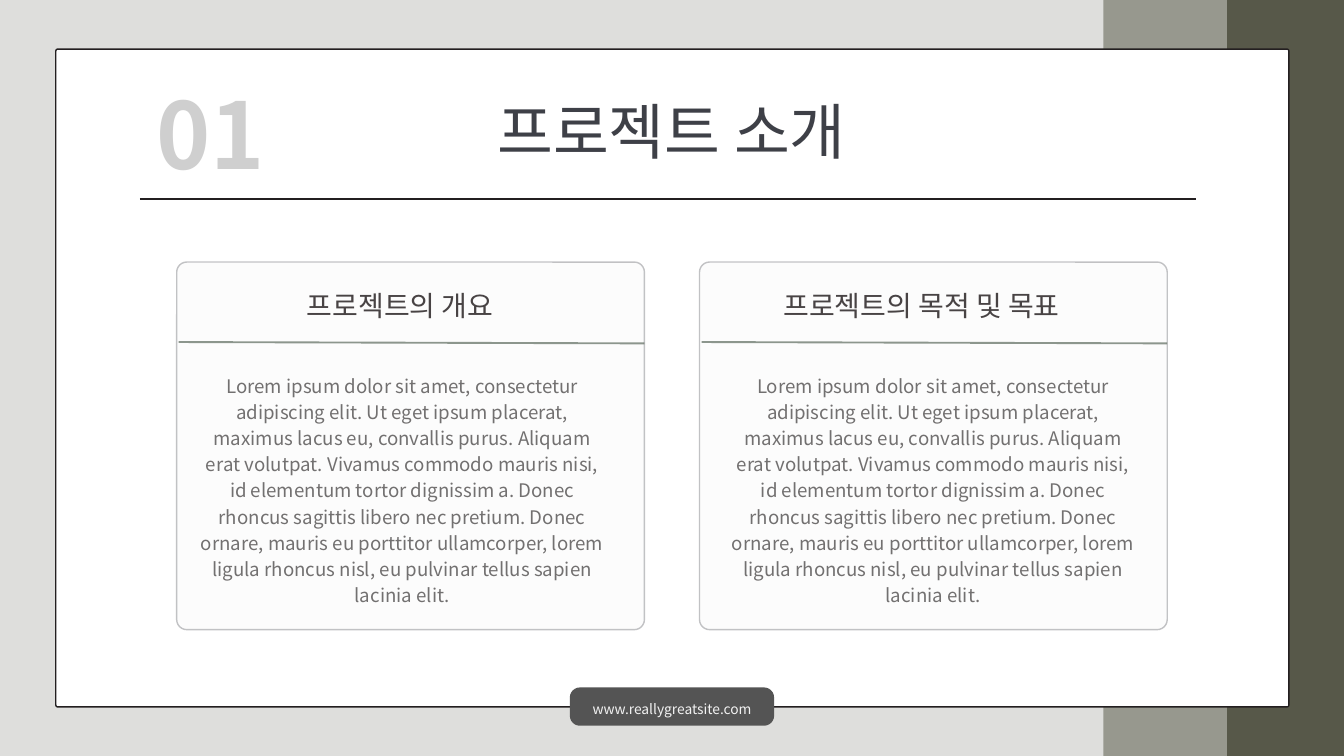
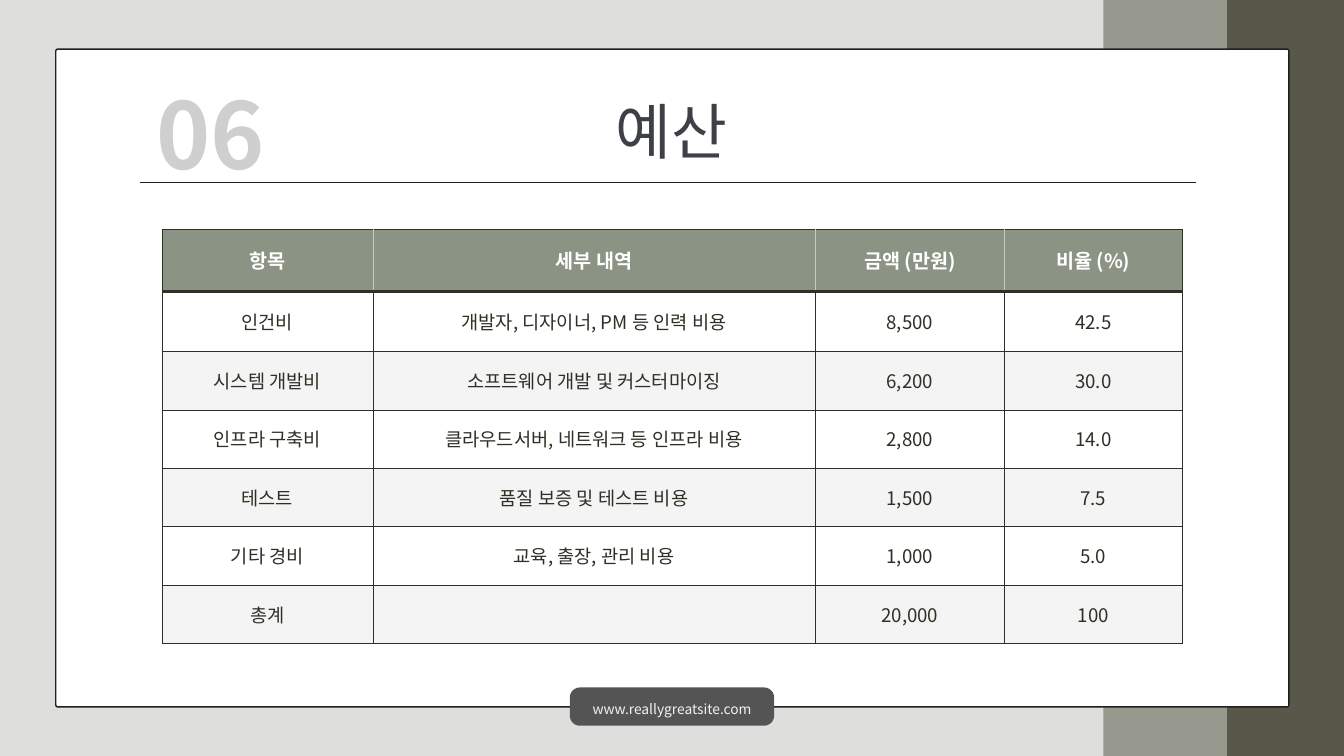
import pptx
import pptx.util
import pptx.dml.color
import pptx.enum.shapes
import pptx.enum.text
import pptx.oxml.ns
from lxml import etree

Inches = pptx.util.Inches
Pt = pptx.util.Pt
Shape = pptx.enum.shapes.MSO_SHAPE
qn = pptx.oxml.ns.qn

LOREM = (
    "Lorem ipsum dolor sit amet, consectetur adipiscing elit. Ut eget ipsum placerat, "
    "maximus lacus eu, convallis purus. Aliquam erat volutpat. Vivamus commodo mauris nisi, "
    "id elementum tortor dignissim a. Donec rhoncus sagittis libero nec pretium. Donec ornare, "
    "mauris eu porttitor ullamcorper, lorem ligula rhoncus nisl, eu pulvinar tellus sapien "
    "lacinia elit."
)
BUDGET = [
    ["항목", "세부 내역", "금액 (만원)", "비율 (%)"],
    ["인건비", "개발자, 디자이너, PM 등 인력 비용", "8,500", "42.5"],
    ["시스템 개발비", "소프트웨어 개발 및 커스터마이징", "6,200", "30.0"],
    ["인프라 구축비", "클라우드서버, 네트워크 등 인프라 비용", "2,800", "14.0"],
    ["테스트", "품질 보증 및 테스트 비용", "1,500", "7.5"],
    ["기타 경비", "교육, 출장, 관리 비용", "1,000", "5.0"],
    ["총계", "", "20,000", "100"],
]


def rgb(code):
    return pptx.dml.color.RGBColor.from_string(code)


class Deck:
    FONT = "Noto Sans CJK KR"
    INK = "231F20"
    GRID = "2C3124"
    WHITE = "FFFFFF"

    def __init__(self):
        self.prs = pptx.Presentation()
        self.prs.slide_width = Inches(20)
        self.prs.slide_height = Inches(11.25)
        self.slide = None

    def page(self, num, title, rule):
        self.slide = self.prs.slides.add_slide(self.prs.slide_layouts[6])
        back = self.slide.background.fill
        back.solid()
        back.fore_color.rgb = rgb("DEDEDC")
        self.box(16.42, -0.21, 2.24, 11.68, "97988E")
        self.box(18.26, -0.21, 2.31, 11.68, "575849")
        self.box(0.83, 0.73, 18.35, 9.79, self.WHITE, 0.03, self.INK)
        self.box(8.48, 10.23, 3.04, 0.57, "545454", 0.15)
        self.text(8.54, 10.38, 2.92, 0.26, "www.reallygreatsite.com", 14.8, "F2F2F2")
        self.text(2.08, 0.88, 2.11, 1.83, num, 98.5, "CFCFCF", True)
        self.rule(2.08, rule, 17.8, rule, self.INK, 1.5)
        self.text(6.24, 1.22, 7.51, 1.22, title, 65, "3E4047")

    def fade(self, item, alpha):
        for color in item._element.spPr.iter(qn("a:srgbClr")):
            etree.SubElement(color, qn("a:alpha")).set("val", str(alpha * 1000))

    def box(self, x, y, w, h, fill, round=0, line=None, alpha=100):
        kind = Shape.ROUNDED_RECTANGLE if round else Shape.RECTANGLE
        shape = self.slide.shapes.add_shape(kind, Inches(x), Inches(y), Inches(w), Inches(h))
        shape.shadow.inherit = False
        if round:
            shape.adjustments[0] = round / min(w, h)
        shape.fill.solid()
        shape.fill.fore_color.rgb = rgb(fill)
        if line:
            shape.line.color.rgb = rgb(line)
            shape.line.width = Pt(1.5)
        else:
            shape.line.fill.background()
        if alpha < 100:
            self.fade(shape, alpha)

    def rule(self, x, y, right, end, color, width, alpha=100):
        line = self.slide.shapes.add_connector(
            pptx.enum.shapes.MSO_CONNECTOR.STRAIGHT,
            Inches(x), Inches(y), Inches(right), Inches(end))
        line.line.color.rgb = rgb(color)
        line.line.width = Pt(width)
        etree.SubElement(line._element.spPr, qn("a:effectLst"))
        if alpha < 100:
            self.fade(line, alpha)

    def style(self, para, words, size, color, bold=False):
        para.text = words
        para.alignment = pptx.enum.text.PP_ALIGN.CENTER
        para.line_spacing = Pt(round(size * 1.4, 1))
        font = para.font
        font.size = Pt(size)
        font.bold = bold
        font.color.rgb = rgb(color)
        font.name = self.FONT
        latin = para._p.pPr.find(".//" + qn("a:latin"))
        east = etree.Element(qn("a:ea"), typeface=self.FONT)
        latin.addnext(east)

    def text(self, x, y, w, h, words, size, color, bold=False):
        item = self.slide.shapes.add_textbox(Inches(x), Inches(y), Inches(w), Inches(h))
        frame = item.text_frame
        frame.margin_left = frame.margin_right = frame.margin_top = frame.margin_bottom = 0
        frame.word_wrap = True
        frame.auto_size = pptx.enum.text.MSO_AUTO_SIZE.SHAPE_TO_FIT_TEXT
        self.style(frame.paragraphs[0], words, size, color, bold)

    def card(self, x, head, head_x, body_x):
        self.box(x, 3.9, 6.96, 5.47, "F6F6F6", 0.15, "3E4047", 31)
        self.rule(x + 0.03, 5.09, x + 6.96, 5.11, "485849", 2, 61)
        self.text(body_x, 5.52, 6.09, 3.45, LOREM, 20, "727070")
        self.text(head_x, 4.21, 5.37, 0.57, head, 30, "484344")

    def edge(self, cell, side, color, width):
        line = etree.SubElement(
            cell._tc.get_or_add_tcPr(), qn("a:ln" + side), w=str(Pt(width)))
        fill = etree.SubElement(line, qn("a:solidFill"))
        etree.SubElement(fill, qn("a:srgbClr"), val=color)

    def table(self, x, y, widths, heights, rows):
        frame = self.slide.shapes.add_table(
            len(rows), len(widths), Inches(x), Inches(y),
            Inches(sum(widths)), Inches(sum(heights)))
        table = frame.table
        table.first_row = table.horz_banding = False
        for col, width in zip(table.columns, widths):
            col.width = Inches(width)
        for row, height in zip(table.rows, heights):
            row.height = Inches(height)
        last = len(widths) - 1
        for r, row in enumerate(rows):
            for c, words in enumerate(row):
                self.cell(table.cell(r, c), words, r, c, last)

    def cell(self, cell, words, r, c, last):
        head = r == 0
        inner = "C7CAC1" if head else self.GRID
        self.edge(cell, "L", inner if c else self.GRID, 0.75)
        self.edge(cell, "R", inner if c < last else self.GRID, 0.75)
        self.edge(cell, "T", self.GRID, 3.75 if r == 1 else 0.75)
        self.edge(cell, "B", self.GRID, 3.75 if head else 0.75)
        cell.fill.solid()
        band = self.WHITE if r % 2 else "F4F4F4"
        cell.fill.fore_color.rgb = rgb("8B9385" if head else band)
        cell.margin_left = cell.margin_right = cell.margin_top = cell.margin_bottom = 0
        cell.vertical_anchor = pptx.enum.text.MSO_ANCHOR.MIDDLE
        color = self.WHITE if head else self.GRID
        self.style(cell.text_frame.paragraphs[0], words, 21 if head else 20, color, head)


def main():
    deck = Deck()
    deck.page("01", "프로젝트 소개", 2.96)
    deck.card(2.63, "프로젝트의 개요", 3.27, 2.94)
    deck.card(10.41, "프로젝트의 목적 및 목표", 11.03, 10.84)
    deck.page("06", "예산", 2.72)
    deck.table(2.41, 3.41, [3.14, 6.58, 2.82, 2.64], [0.93, 0.89] + [0.87] * 5, BUDGET)
    deck.prs.save("out.pptx")


if __name__ == "__main__":
    main()
